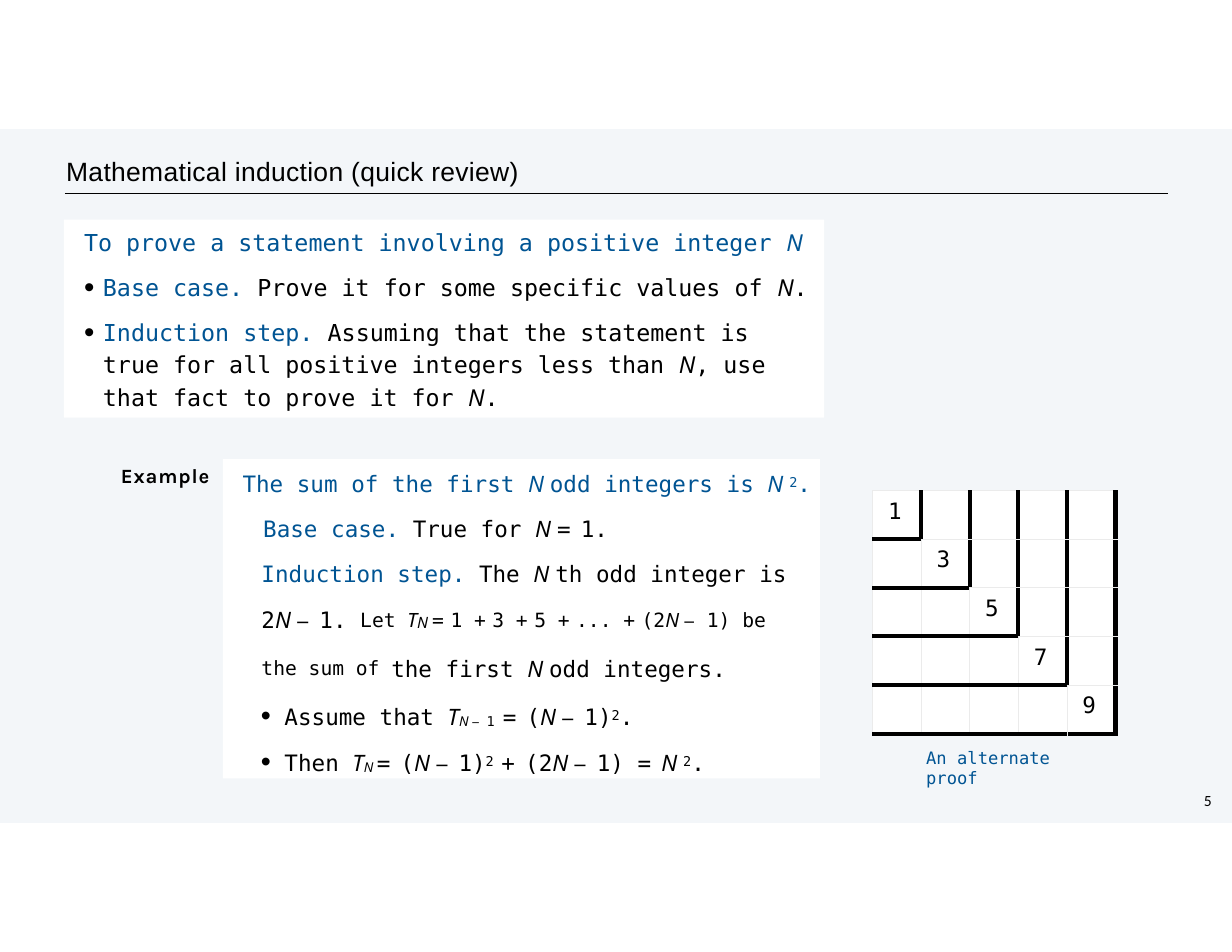
"""Builds a slide that reviews mathematical induction with an example and a square of odd numbers."""
import pptx
import pptx.chart.data
import pptx.dml.color
import pptx.enum.shapes
import pptx.enum.text
import pptx.oxml
import pptx.oxml.ns
import pptx.util
from pptx.util import Pt

BLACK = pptx.dml.color.RGBColor(0x00, 0x00, 0x00)
WHITE = pptx.dml.color.RGBColor(0xFF, 0xFF, 0xFF)
BLUE = pptx.dml.color.RGBColor(0x00, 0x54, 0x93)
MIST = pptx.dml.color.RGBColor(0xF3, 0xF6, 0xF9)
PALE_GRAY = pptx.dml.color.RGBColor(0xEB, 0xEB, 0xEB)
MONO, SANS, KARLA = "DejaVu Sans Mono", "Noto Sans", "Karla"

STYLES = {
    "title": ("Arial", 17, BLACK, 0, 0.2),
    "label": (KARLA, 13, BLACK, 0, 0.6),
    "page": ("Calibri", 10, BLACK, 0, 0),
    "caption": (MONO, 11, BLUE, 0, 0),
    "rule key": (MONO, 15, BLUE, 0, 0),
    "rule": (MONO, 15, BLACK, 0, 0),
    "rule key var": (SANS, 15, BLUE, 0, -0.5),
    "rule var": (SANS, 15, BLACK, 0, -0.2),
    "key": (MONO, 14.5, BLUE, 0, 0),
    "key var": (SANS, 14.5, BLUE, 0, 0),
    "key power": (MONO, 15, BLUE, 22, -0.4),
    "text": (MONO, 14.5, BLACK, 0, 0),
    "var": (SANS, 14.5, BLACK, 0, 0),
    "sign": (MONO, 14.5, BLACK, 0, -2.2),
    "minus": (KARLA, 14.5, BLACK, 0, 1.7),
    "power": (MONO, 15, BLACK, 22, -0.3),
    "index": (MONO, 15, BLACK, -6, 0),
    "index var": (SANS, 15, BLACK, -6, 0),
    "index minus": (KARLA, 15, BLACK, -6, 1.4),
    "raised": (MONO, 21.8, BLACK, 4, 0),
    "raised var": (SANS, 21.8, BLACK, 4, 0),
    "raised sign": (MONO, 21.8, BLACK, 4, -3.4),
    "raised minus": (KARLA, 21.8, BLACK, 4, 2.5),
    "low var": (SANS, 10, BLACK, 0, 0),
}


def fill_frame(frame, top_inset, paragraphs):
    frame.word_wrap = True
    frame.auto_size = pptx.enum.text.MSO_AUTO_SIZE.NONE
    frame.vertical_anchor = pptx.enum.text.MSO_ANCHOR.TOP
    frame.margin_left = frame.margin_right = frame.margin_bottom = 0
    frame.margin_top = Pt(top_inset)
    for number, (before, spacing, left, hanging, right, runs) in enumerate(paragraphs):
        paragraph = frame.add_paragraph() if number else frame.paragraphs[0]
        paragraph.alignment = pptx.enum.text.PP_ALIGN.LEFT
        paragraph.space_before = Pt(before)
        paragraph.line_spacing = spacing
        properties = paragraph._p.get_or_add_pPr()
        properties.set("marL", str(Pt(left)))
        properties.set("marR", str(Pt(right)))
        properties.set("indent", str(Pt(-hanging)))
        bullet = (f'<a:buClr {NS}><a:srgbClr val="{BLACK}"/></a:buClr>',
                  f'<a:buSzPct {NS} val="127000"/>',
                  f'<a:buChar {NS} char="•"/>') if hanging else (f"<a:buNone {NS}/>",)
        for part in bullet:
            properties.append(pptx.oxml.parse_xml(part))
        for text, style in runs:
            face, size, color, baseline, tracking = STYLES[style]
            run = paragraph.add_run()
            run.text = text
            run.font.name = face
            run.font.size = Pt(size)
            run.font.color.rgb = color
            run.font.italic = face == SANS
            run.font.bold = style == "label"
            run_properties = run.font._element
            run_properties.set("spc", str(round(tracking * 100)))
            if baseline:
                run_properties.set("baseline", str(baseline * 1000))


def set_border(cell, side, color, width):
    cell._tc.get_or_add_tcPr().append(pptx.oxml.parse_xml(
        f'<a:{side} {NS} w="{Pt(width)}"><a:solidFill><a:srgbClr val="{color}"/>'
        f'</a:solidFill></a:{side}>'))


NS = pptx.oxml.ns.nsdecls("a")
presentation = pptx.Presentation()
presentation.slide_width = Pt(792)
presentation.slide_height = Pt(612)
slide = presentation.slides.add_slide(presentation.slide_layouts[3])
title, method, example = slide.placeholders

panel = slide.shapes.add_shape(pptx.enum.shapes.MSO_SHAPE.RECTANGLE, 0, Pt(83), Pt(792), Pt(446))
panel.shadow.inherit = False
panel.fill.solid()
panel.fill.fore_color.rgb = MIST
panel.line.fill.background()
slide.shapes.element.insert(2, panel.element)

title_rule = slide.shapes.add_connector(
    pptx.enum.shapes.MSO_CONNECTOR.STRAIGHT, Pt(41.8), Pt(124.4), Pt(751), Pt(124.4))
title_rule.line.color.rgb = BLACK
title_rule.line.width = Pt(0.41)
title_rule.element.spPr.append(pptx.oxml.parse_xml(f"<a:effectLst {NS}/>"))

method_lines = [
    (6.1, 1, 13, 0, 0, [("To prove a statement involving a positive integer ", "rule key"),
                        ("N", "rule key var")]),
    (10.9, 1, 25.2, 12.2, 0, [("Base case. ", "rule key"),
                              ("Prove it for some specific values of ", "rule"),
                              ("N", "rule var"), (".", "rule")]),
    (8.2, 1.15, 25.2, 12.2, 20, [
        ("Induction step. ", "rule key"),
        ("Assuming that the statement is true for all positive integers less than ", "rule"),
        ("N", "rule var"), (", use that fact to prove it for ", "rule"),
        ("N", "rule var"), (".", "rule")]),
]

raised_sum = [piece for term in ("1 ", "3 ", "5 ", "... ")
              for piece in ((term, "raised"), ("+ ", "raised sign"))]
n_minus = [("N ", "var"), ("− ", "minus")]
example_lines = [
    (6.6, 1, 12.6, 0, 0, [("The sum of the first ", "key"), ("N ", "key var"),
                          ("odd integers is ", "key"), ("N ", "key var"),
                          ("2", "key power"), (".", "key")]),
    (11.5, 1, 25.9, 0, 0, [("Base case. ", "key"), ("True for ", "text"), ("N ", "var"),
                           ("= ", "sign"), ("1.", "text")]),
    (8.2, 1.19, 24.8, 0, 14, [
        ("Induction step. ", "key"), ("The ", "text"), ("N ", "var"),
        ("th odd integer is 2", "text"), *n_minus, ("1. ", "text"),
        ("Let ", "raised"), ("T", "raised var"), ("N ", "low var"), ("= ", "raised sign"),
        *raised_sum, ("(2", "raised"), ("N ", "raised var"), ("− ", "raised minus"),
        ("1) be the sum of ", "raised"), ("the first ", "text"), ("N ", "var"),
        ("odd integers.", "text")]),
    (11.5, 1, 39.6, 15.1, 0, [
        ("Assume that ", "text"), ("T", "var"), ("N ", "index var"), ("− ", "index minus"),
        ("1 ", "index"), ("= ", "sign"), ("(", "text"), *n_minus, ("1)", "text"),
        ("2", "power"), (".", "text")]),
    (11.5, 1, 39.6, 15.1, 0, [
        ("Then ", "text"), ("T", "var"), ("N ", "index var"), ("= ", "sign"), ("(", "text"),
        *n_minus, ("1)", "text"), ("2 ", "power"), ("+ ", "sign"), ("(2", "text"),
        *n_minus, ("1) ", "text"), ("= ", "sign"), ("N ", "var"), ("2", "power"),
        (".", "text")]),
]

label, caption, page = (slide.shapes.add_textbox(0, 0, 0, 0) for part in range(3))
for part, box, top_inset, lines in (
    (title, (41.8, 98.6, 320, 23), 1.4,
     [(1.4, 1, 0.7, 0, 0, [("Mathematical induction (quick review)", "title")])]),
    (method, (41, 141.1, 488.9, 127.4), 5.8, method_lines),
    (example, (143.3, 295.2, 383.8, 205.2), 6.5, example_lines),
    (label, (77, 296.6, 62, 18), 1.4, [(1.2, 1, 0.7, 0, 0, [("Example", "label")])]),
    (caption, (594.7, 478.8, 100.8, 30), 1.4,
     [(1.1, 1, 0.7, 0, 0, [("An alternate proof", "caption")])]),
    (page, (768.2, 508.3, 16.6, 13.7), 0, [(0.1, 1, 5.8, 0, 0, [("5", "page")])]),
):
    part.left, part.top, part.width, part.height = map(Pt, box)
    fill_frame(part.text_frame, top_inset, lines)

for white_box in (method, example):
    white_box.fill.solid()
    white_box.fill.fore_color.rgb = WHITE

count, side = 5, 31.25
square = slide.shapes.add_table(
    count, count, Pt(560.9), Pt(315.4), Pt(count * side), Pt(count * side)).table
for row in range(count):
    square.rows[row].height = Pt(side)
    for column in range(count):
        cell = square.cell(row, column)
        cell.margin_left = cell.margin_right = cell.margin_top = cell.margin_bottom = 0
        if row == column:
            fill_frame(cell.text_frame, 0, [(4.7, 1, 10, 0, 0, [(str(2 * row + 1), "text")])])
            cell.margin_top = Pt(5)
        heavy, light = (BLACK, 3), (PALE_GRAY, 0.5)
        set_border(cell, "lnL", *(heavy if 0 < column and row < column else light))
        set_border(cell, "lnR", *(heavy if row <= column else light))
        set_border(cell, "lnT", *(heavy if 0 < row and column < row else light))
        set_border(cell, "lnB", *(heavy if column <= row else light))
        cell.fill.solid()
        cell.fill.fore_color.rgb = WHITE

presentation.save("out.pptx")
